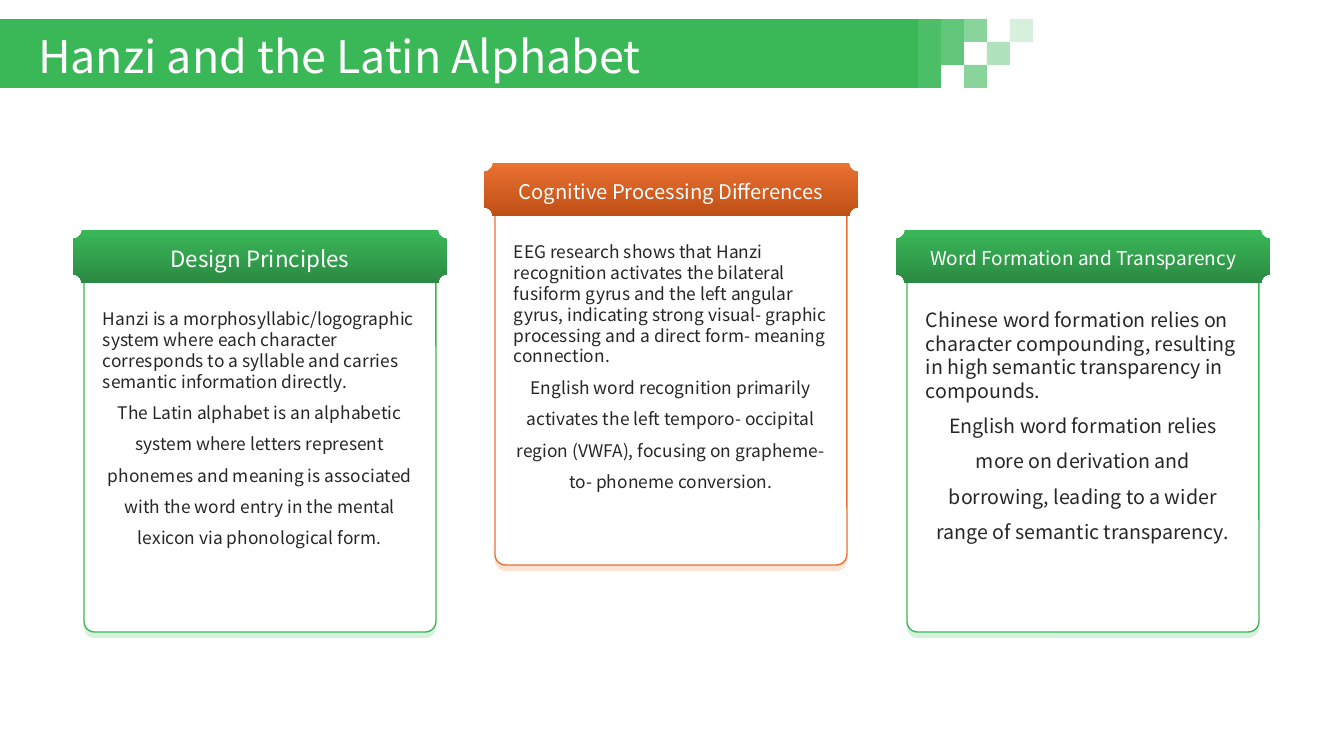
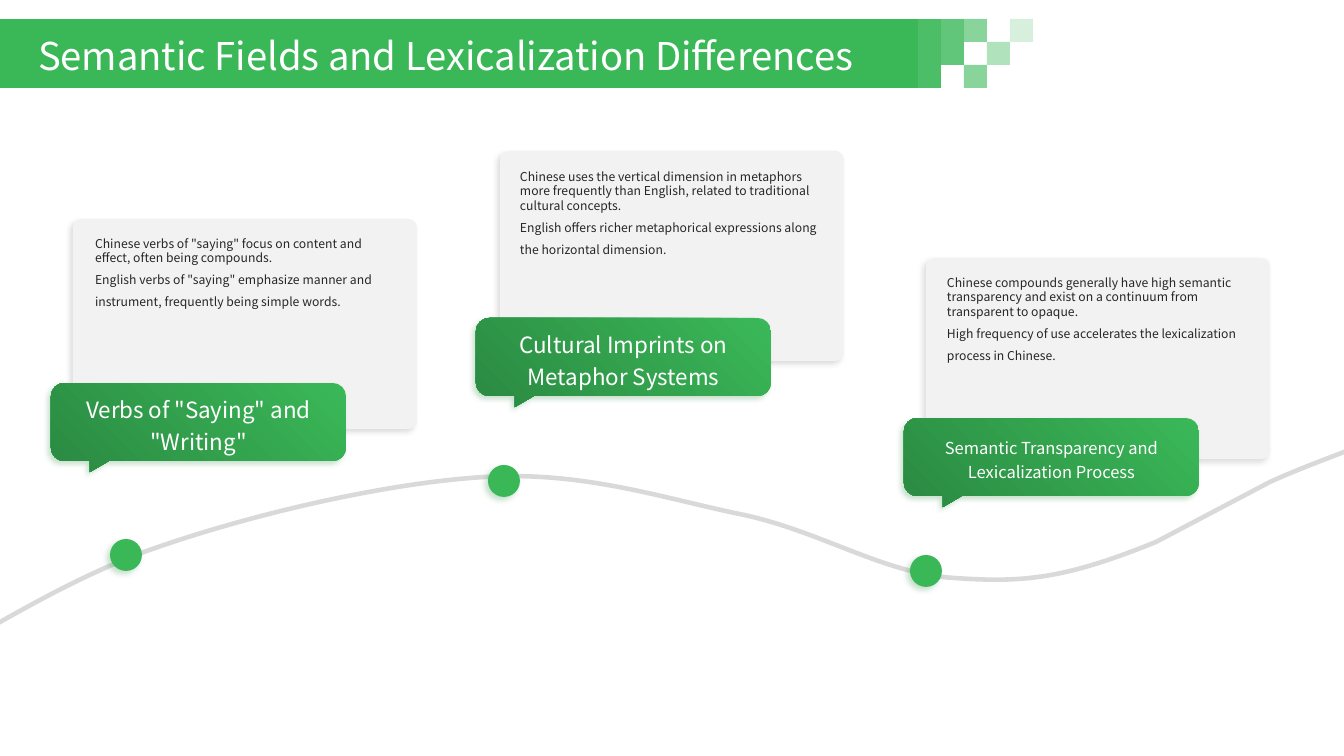
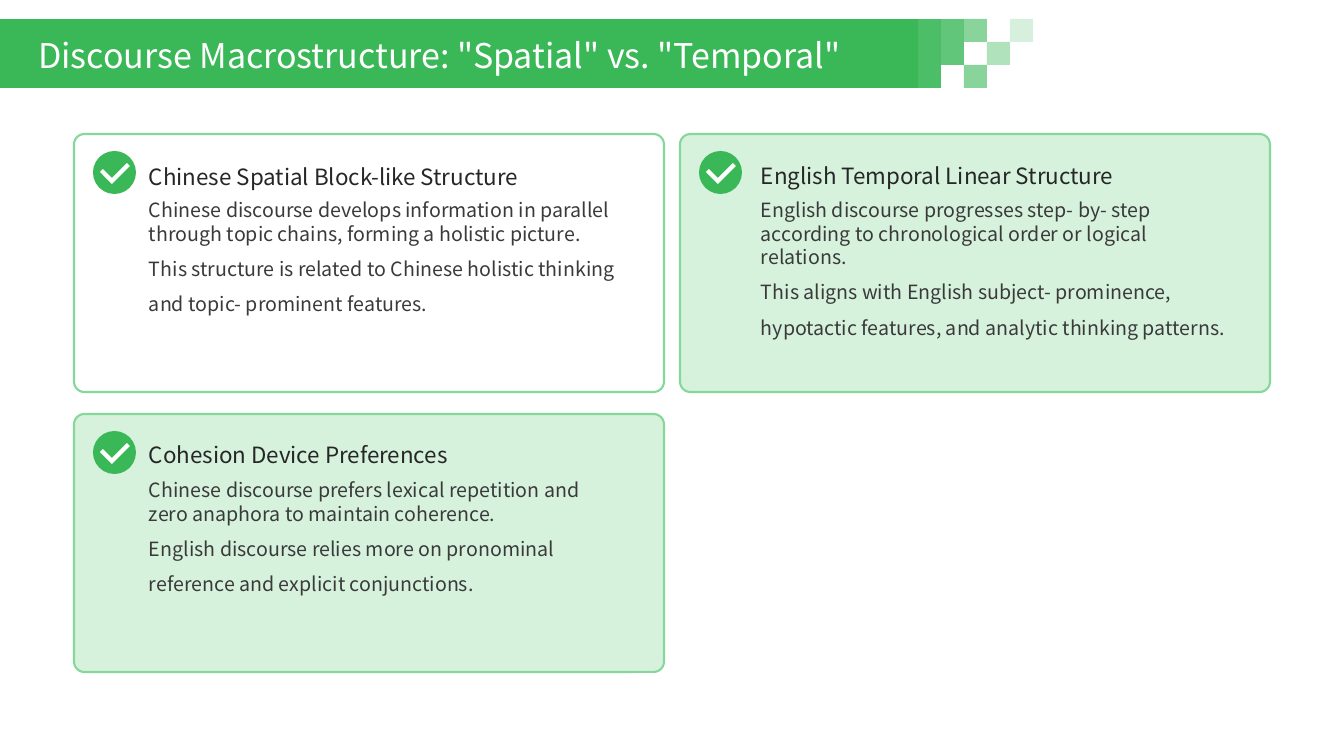
"""Build three slides comparing Chinese and English writing, meaning and discourse."""
from lxml.etree import SubElement
from pptx import Presentation
from pptx.dml.color import RGBColor
from pptx.enum.shapes import MSO_SHAPE
from pptx.enum.text import MSO_ANCHOR, PP_ALIGN
from pptx.oxml.ns import qn
from pptx.util import Pt

PX = 12192000 / 1344
FONT = "Noto Sans CJK SC"
GREEN, DARK_GREEN, MID_GREEN, PALE_GREEN = "3AB858", "2B8A42", "85D899", "D6F2DD"
ORANGE, DARK_ORANGE, PALE_ORANGE = "E97132", "C04F15", "FBE3D6"
WHITE, INK, SOFT_INK = "FFFFFF", "262626", "3A3A3A"
PANEL_GREY, SHADOW_GREY, CURVE_GREY = "F2F2F2", "808080", "D9D9D9"
LEFT, CENTER = PP_ALIGN.LEFT, PP_ALIGN.CENTER
TOP, MIDDLE = MSO_ANCHOR.TOP, MSO_ANCHOR.MIDDLE

TILE, BAND_TOP, BAND_WIDTH = 23, 19, 918
TILES = [(0, 0, 3, 90), (1, 0, 2, 80), (2, 0, 1, 60), (2, 2, 1, 60), (3, 1, 1, 40), (4, 0, 1, 20)]

ALPHABET = {
    "title": ("Hanzi and the Latin Alphabet", 32),
    "cards": [
        (261, (GREEN, DARK_GREEN, PALE_GREEN), "Design Principles", 16, 12.45, (
            "Hanzi is a morphosyllabic/logographic system where each character corresponds to a syllable "
            "and carries semantic information directly.",
            "The Latin alphabet is an alphabetic system where letters represent phonemes and meaning is "
            "associated with the word entry in the mental lexicon via phonological form.")),
        (194, (ORANGE, DARK_ORANGE, PALE_ORANGE), "Cognitive Processing Differences", 14.4, 12.45, (
            "EEG research shows that Hanzi recognition activates the bilateral fusiform gyrus and the left "
            "angular gyrus, indicating strong visual- graphic processing and a direct form- meaning connection.",
            "English word recognition primarily activates the left temporo- occipital region (VWFA), "
            "focusing on grapheme- to- phoneme conversion.")),
        (261, (GREEN, DARK_GREEN, PALE_GREEN), "Word Formation and Transparency", 13.6, 14, (
            "Chinese word formation relies on character compounding, resulting in high semantic "
            "transparency in compounds.",
            "English word formation relies more on derivation and borrowing, leading to a wider range of "
            "semantic transparency.")),
    ],
}

LEXICON = {
    "title": ("Semantic Fields and Lexicalization Differences", 27.3),
    "curve_start": (-81, 666),
    "curve": [
        [(-22, 638), (51, 587), (144, 552)],
        [(247, 515), (385, 483), (485, 477)],
        [(585, 471), (665, 499), (744, 515)],
        [(822, 532), (885, 574), (954, 578)],
        [(1023, 583), (1065, 579), (1156, 542)],
        [(1270, 482)],
        [(1303, 467), (1335, 456), (1354, 448)],
        [(1356, 447), (1362, 446), (1362, 446)],
    ],
    "stops": [
        {"dot": (110, 539), "panel": (73, 219, 344, 210), "callout": (51, 383), "note": (95, 236),
         "label": 'Verbs of "Saying" and "Writing"', "size": 16, "body": (
             'Chinese verbs of "saying" focus on content and effect, often being compounds.',
             'English verbs of "saying" emphasize manner and instrument, frequently being simple words.')},
        {"dot": (488, 465), "panel": (500, 151, 344, 210), "callout": (476, 318), "note": (520, 169),
         "label": "Cultural Imprints on Metaphor Systems", "size": 16, "body": (
             "Chinese uses the vertical dimension in metaphors more frequently than English, related to "
             "traditional cultural concepts.",
             "English offers richer metaphorical expressions along the horizontal dimension.")},
        {"dot": (910, 555), "panel": (926, 258, 344, 201), "callout": (904, 418), "note": (947, 275),
         "label": "Semantic Transparency and Lexicalization Process", "size": 11.8, "body": (
             "Chinese compounds generally have high semantic transparency and exist on a continuum from "
             "transparent to opaque.",
             "High frequency of use accelerates the lexicalization process in Chinese.")},
    ],
}

DISCOURSE = {
    "title": ('Discourse Macrostructure: "Spatial" vs. "Temporal"', 24.3),
    "blocks": [
        (None, (75, 26), "Chinese Spatial Block-like Structure", (
            "Chinese discourse develops information in parallel through topic chains, forming a holistic picture.",
            "This structure is related to Chinese holistic thinking and topic- prominent features.")),
        (PALE_GREEN, (81, 25), "English Temporal Linear Structure", (
            "English discourse progresses step- by- step according to chronological order or logical relations.",
            "This aligns with English subject- prominence, hypotactic features, and analytic thinking patterns.")),
        (PALE_GREEN, (75, 24), "Cohesion Device Preferences", (
            "Chinese discourse prefers lexical repetition and zero anaphora to maintain coherence.",
            "English discourse relies more on pronominal reference and explicit conjunctions.")),
    ],
}
CHECK = [(34, 12), (37, 15), (19, 33), (7, 21), (10, 18), (19, 27)]


def emu(*lengths):
    return [round(length * PX) for length in lengths]


def rgb(value):
    return RGBColor.from_string(value)


def style(shape, fill=None, line=None, alpha=None, shadow=None):
    """Set fill (none, colour or gradient), outline, opacity and shadow."""
    if fill is None:
        shape.fill.background()
    elif isinstance(fill, tuple):
        start, end, angle = fill
        shape.fill.gradient()
        shape.fill.gradient_angle = angle
        for stop, color in zip(shape.fill.gradient_stops, (start, end)):
            stop.color.rgb = rgb(color)
    else:
        shape.fill.solid()
        shape.fill.fore_color.rgb = rgb(fill)
    if line:
        shape.line.color.rgb = rgb(line[0])
        shape.line.width = Pt(line[1])
    else:
        shape.line.fill.background()
    properties = shape._element.spPr
    if alpha:
        color = properties.find(qn("a:solidFill")).find(qn("a:srgbClr"))
        SubElement(color, qn("a:alpha"), val=str(alpha * 1000))
    shape.shadow.inherit = False
    if shadow:
        outer = SubElement(properties.find(qn("a:effectLst")), qn("a:outerShdw"),
                           blurRad=str(Pt(4)), dist=str(Pt(3)), dir="8100000",
                           algn="tr", rotWithShape="0")
        color = SubElement(outer, qn("a:srgbClr"), val=shadow)
        SubElement(color, qn("a:alpha"), val="25000")


def add_preset(slide, kind, box, radius=None, **look):
    shape = slide.shapes.add_shape(kind, *emu(*box))
    if radius is not None:
        shape.adjustments[0] = radius
    style(shape, **look)


def add_outline(slide, start, moves, close=True, **look):
    """Draw an outline whose moves hold one point (line) or three (cubic curve)."""
    builder = slide.shapes.build_freeform(*emu(*start))
    builder.add_line_segments([emu(*point) for move in moves for point in move], close=close)
    shape = builder.convert_to_shape()
    segments = iter(list(shape._element.iter(qn("a:lnTo"))))
    for move in moves:
        first, *others = [next(segments) for _ in move]
        if others:
            first.tag = qn("a:cubicBezTo")
            for other in others:
                first.append(other[0])
                other.getparent().remove(other)
    style(shape, **look)


def add_text(slide, box, paragraphs, size, color, anchor=TOP):
    """Add a text box from (text, alignment, line spacing) paragraphs."""
    frame = slide.shapes.add_textbox(*emu(*box)).text_frame
    frame_format = {"word_wrap": True, "vertical_anchor": anchor, "margin_left": 0,
                    "margin_top": 0, "margin_right": 0, "margin_bottom": 0}
    for name, value in frame_format.items():
        setattr(frame, name, value)
    for index, (words, alignment, spacing) in enumerate(paragraphs):
        paragraph = frame.add_paragraph() if index else frame.paragraphs[0]
        paragraph.alignment = alignment
        paragraph.line_spacing = spacing
        run = paragraph.add_run()
        run.text = words
        for name, value in {"name": FONT, "size": Pt(size)}.items():
            setattr(run.font, name, value)
        run.font.color.rgb = rgb(color)


def add_body(slide, box, body, size, color=INK, alignment=LEFT):
    opening, contrast = body
    add_text(slide, box, [(opening, LEFT, 1.0), (contrast, alignment, 1.5)], size, color)


def add_band(slide, title, size):
    add_preset(slide, MSO_SHAPE.RECTANGLE, (0, BAND_TOP, BAND_WIDTH, 3 * TILE), fill=GREEN)
    for column, row, rows, alpha in TILES:
        box = (BAND_WIDTH + column * TILE, BAND_TOP + row * TILE, TILE, rows * TILE)
        add_preset(slide, MSO_SHAPE.RECTANGLE, box, fill=GREEN, alpha=alpha)
    add_text(slide, (38, 27, 880, 47), [(title, LEFT, 1.2)], size, WHITE, MIDDLE)


def callout_outline(left, top, width, height, radius=13, handle=6):
    """Return start and moves of a rounded callout with a tail under its left part."""
    right, bottom = left + width, top + height
    moves = [
        [(right - radius, top)],
        [(right - handle, top), (right, top + handle), (right, top + radius)],
        [(right, bottom - radius)],
        [(right, bottom - handle), (right - handle, bottom), (right - radius, bottom)],
        [(left + 58, bottom)], [(left + 39, bottom + 11)], [(left + 39, bottom)],
        [(left + radius, bottom)],
        [(left + handle, bottom), (left, bottom - handle), (left, bottom - radius)],
        [(left, top + radius)],
        [(left, top + handle), (left + handle, top), (left + radius, top)],
    ]
    return (left + radius, top), moves


def build_alphabet(slide):
    for index, (top, colors, heading, heading_size, size, body) in enumerate(ALPHABET["cards"]):
        main, dark, pale = colors
        left = 84 + 823 * index // 2
        for drop, look in ((6, {"fill": pale}), (0, {"fill": WHITE, "line": (main, 1)})):
            add_preset(slide, MSO_SHAPE.ROUNDED_RECTANGLE, (left, top + drop, 352, 371), 0.03, **look)
        add_body(slide, (left + 19, top + 47, 314, 256), body, size, alignment=CENTER)
        add_preset(slide, MSO_SHAPE.PLAQUE, (left - 11, top - 31, 374, 53), fill=(main, dark, 270))
        add_text(slide, (left + 12, top - 20, 328, 32), [(heading, CENTER, 1.1)],
                 heading_size, WHITE, MIDDLE)


def build_lexicon(slide):
    add_outline(slide, LEXICON["curve_start"], LEXICON["curve"], close=False, line=(CURVE_GREY, 3.25))
    width, height, inset = 295, 78, 9
    for stop in LEXICON["stops"]:
        left, top = stop["callout"]
        add_preset(slide, MSO_SHAPE.OVAL, (*stop["dot"], 32, 32), fill=GREEN, shadow=DARK_GREEN)
        add_preset(slide, MSO_SHAPE.ROUNDED_RECTANGLE, stop["panel"], 0.04,
                   fill=PANEL_GREY, shadow=SHADOW_GREY)
        add_outline(slide, *callout_outline(left, top, width, height),
                    fill=(GREEN, DARK_GREEN, 225), shadow=DARK_GREEN)
        add_text(slide, (left + inset, top + 1, width - 2 * inset, height),
                 [(stop["label"], CENTER, 1.2)], stop["size"], WHITE, MIDDLE)
        add_body(slide, (*stop["note"], 298, 100), stop["body"], 8.7)


def build_discourse(slide):
    for index, (fill, (indent, drop), heading, body) in enumerate(DISCOURSE["blocks"]):
        row, column = divmod(index, 2)
        left, top = 74 + 606 * column, 134 + 280 * row
        icon_left, icon_top = left + 19, top + 17
        add_preset(slide, MSO_SHAPE.ROUNDED_RECTANGLE, (left, top, 590, 258), 0.04,
                   fill=fill, line=(MID_GREEN, 1.5))
        add_preset(slide, MSO_SHAPE.FLOWCHART_CONNECTOR, (icon_left, icon_top, 43, 43), fill=GREEN)
        start, *corners = [(icon_left + x, icon_top + y) for x, y in CHECK]
        add_outline(slide, start, [[corner] for corner in corners], fill=WHITE)
        add_text(slide, (left + indent, top + drop, 469, 30), [(heading, LEFT, 1.1)], 16, INK)
        add_body(slide, (left + indent, top + 64, 469, 170), body, 14, SOFT_INK)


def main():
    deck = Presentation()
    deck.slide_width, deck.slide_height = emu(1344, 756)
    for content, build in ((ALPHABET, build_alphabet), (LEXICON, build_lexicon),
                           (DISCOURSE, build_discourse)):
        slide = deck.slides.add_slide(deck.slide_layouts[6])
        build(slide)
        add_band(slide, *content["title"])
    deck.save("out.pptx")


if __name__ == "__main__":
    main()
